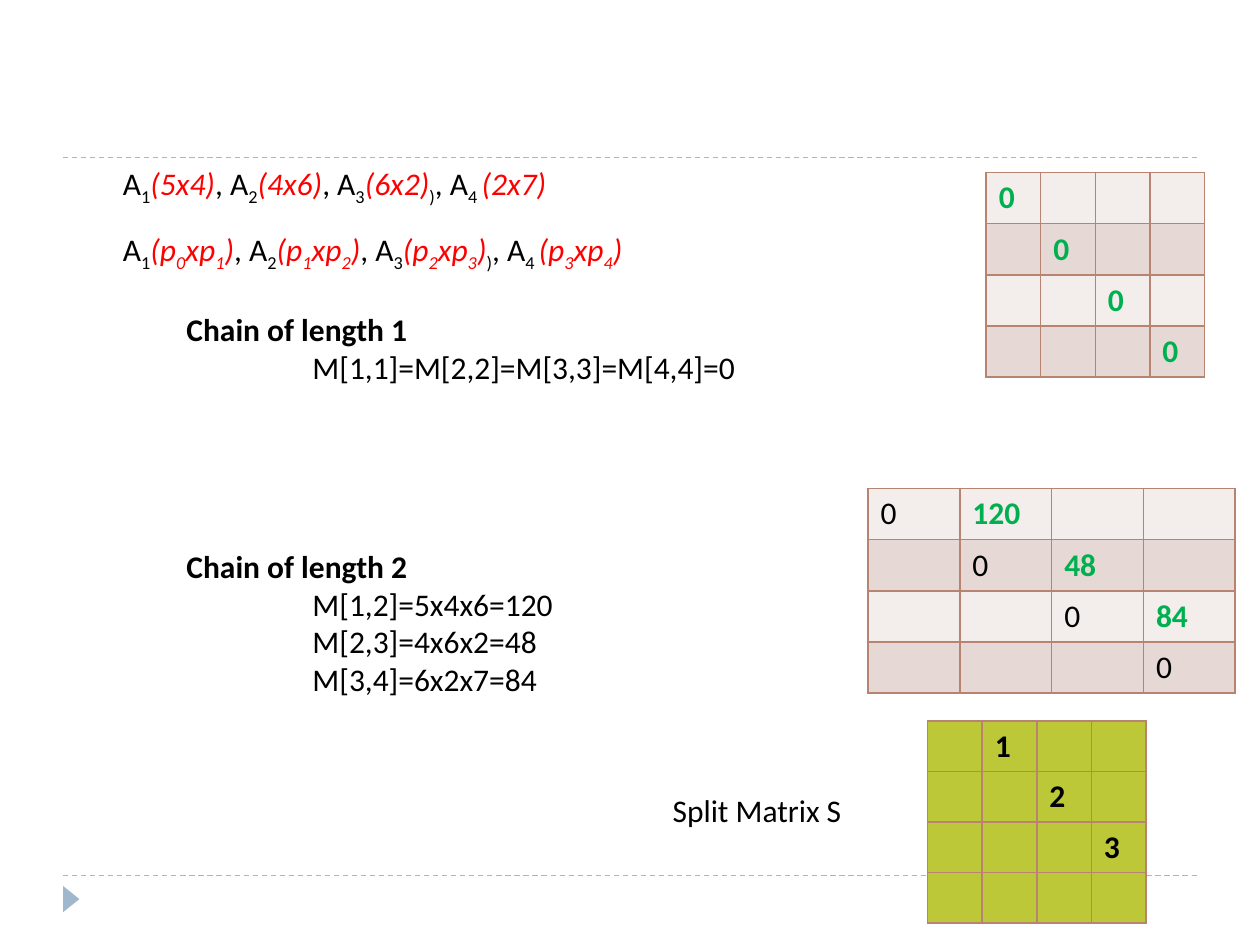
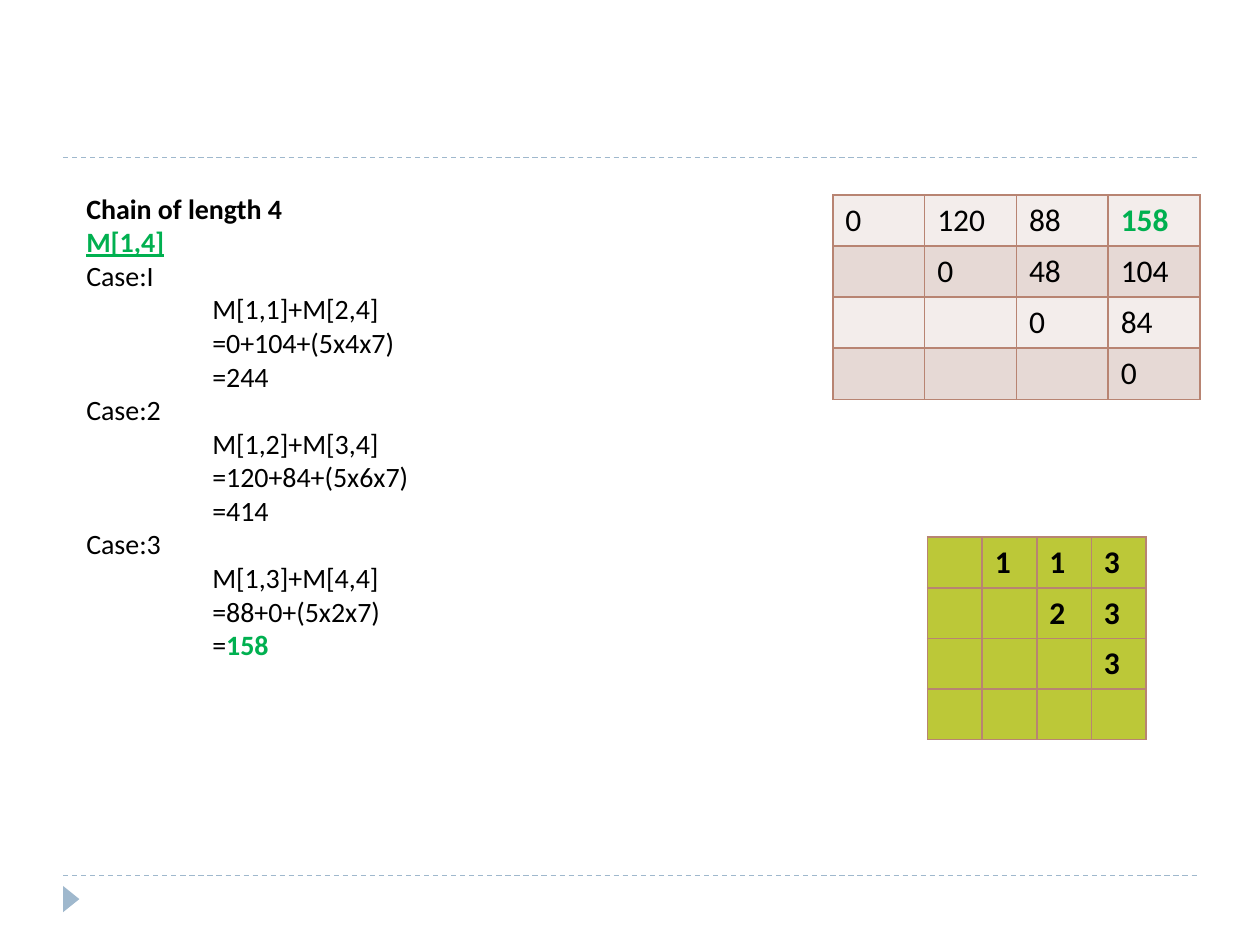
from lxml import etree
from pptx import Presentation
from pptx.dml.color import RGBColor
from pptx.enum.dml import MSO_LINE
from pptx.enum.shapes import MSO_CONNECTOR, MSO_SHAPE
from pptx.enum.text import MSO_AUTO_SIZE
from pptx.oxml.ns import qn
from pptx.util import Cm, Pt

DASH = MSO_LINE.DASH
LINE = MSO_CONNECTOR.STRAIGHT
ARROW = MSO_SHAPE.ISOSCELES_TRIANGLE
GROW = MSO_AUTO_SIZE.SHAPE_TO_FIT_TEXT

HUES = {"ink": "000000", "red": "FF0000", "green": "00B050", "blue": "9FB8CD",
        "edge": "B88472", "pale": "F3EDEB", "rose": "E6D9D5", "lime": "BCC838"}
RGB = {name: RGBColor.from_string(code) for name, code in HUES.items()}
FONT = "Calibri"
NEW = {"hue": "green", "bold": True}  # values found in the current step


def write(para, text, size=18, hue="ink", bold=False, ital=False, under=False, sub=False):
    run = para.add_run()
    run.text = text
    font = run.font
    font.name, font.size = FONT, Pt(size)
    font.bold, font.italic, font.underline = bold, ital, under
    font.color.rgb = RGB[hue]
    if sub:
        run._r.get_or_add_rPr().set("baseline", "-25000")


def grid(slide, left, top, wide, high, fills, rows, bold=False):
    """Square matrix: '.' is an empty cell, a leading '*' marks a new value."""
    cells = [row.split() for row in rows]
    n = len(cells)
    table = slide.shapes.add_table(n, n, Cm(left), Cm(top), Cm(wide * n), Cm(high * n)).table
    table.first_row = table.horz_banding = False
    for i in range(n):
        table.rows[i].height = Cm(high)
        table.columns[i].width = Cm(wide)
        for j, text in enumerate(cells[i]):
            cell = table.cell(i, j)
            if text != ".":
                look = NEW if text[0] == "*" else {"bold": bold}
                write(cell.text_frame.paragraphs[0], text.lstrip("*"), **look)
            props = cell._tc.get_or_add_tcPr()
            for side in ("a:lnL", "a:lnR", "a:lnT", "a:lnB"):
                edge = etree.SubElement(props, qn(side), w=str(Pt(1)))
                fill = etree.SubElement(edge, qn("a:solidFill"))
                etree.SubElement(fill, qn("a:srgbClr"), val=HUES["edge"])
            cell.fill.solid()
            cell.fill.fore_color.rgb = RGB[fills[i % len(fills)]]


deck = Presentation()
deck.slide_width, deck.slide_height = Cm(25.4), Cm(19.05)
first, last = [deck.slides.add_slide(deck.slide_layouts[6]) for _ in range(2)]

# Shared rules and corner arrow
for slide in (first, last):
    for y in (17.65, 3.18):
        rule = slide.shapes.add_connector(LINE, Cm(1.27), Cm(y), Cm(24.13), Cm(y))
        rule.line.color.rgb = RGB["blue"]
        rule.line.width = Pt(0.75)
        rule.line.dash_style = DASH
        etree.SubElement(rule._element.spPr, qn("a:effectLst"))
    mark = slide.shapes.add_shape(ARROW, Cm(1.17), Cm(17.96), Cm(0.53), Cm(0.33))
    mark.rotation = 90
    mark.shadow.inherit = False
    mark.fill.solid()
    mark.fill.fore_color.rgb = RGB["blue"]
    mark.line.fill.background()

# Formulas: *...* is red italic, ~...~ is subscript
forms = []
for text in ("A~1~*(5x4)*, A~2~*(4x6)*, A~3~*(6x2)*~)~, A~4 ~*(2x7)*",
             "A~1~*(p~0~xp~1~)*, A~2~*(p~1~xp~2~)*, A~3~*(p~2~xp~3~)*~)~, "
             "A~4 ~*(p~3~xp~4~)*"):
    runs = []
    for i, part in enumerate(text.split("*")):
        look = {"hue": "red", "ital": True} if i % 2 else {}
        runs += [(bit, {**look, "sub": k % 2 == 1})
                 for k, bit in enumerate(part.split("~")) if bit]
    forms.append(runs)

# Chains of length 1 and 2: a heading, then indented lines
chains = []
for size, sums in ((1, ["M[1,1]=M[2,2]=M[3,3]=M[4,4]=0"]),
                   (2, ["M[1,2]=5x4x6=120", "M[2,3]=4x6x2=48", "M[3,4]=6x2x7=84"])):
    chains.append([(0, [(f"Chain of length {size}", {"bold": True})])]
                  + [(2.54, [(text, {})]) for text in sums])

# Chain of length 4: three cases
cases = [(0, [("Chain of length 4", {"bold": True})]),
         (0, [("M[1,4]", {**NEW, "under": True})])]
for name, *sums in (("Case:I", "M[1,1]+M[2,4]", "=0+104+(5x4x7)", "=244"),
                    ("Case:2", "M[1,2]+M[3,4]", "=120+84+(5x6x7)", "=414"),
                    ("Case:3", "M[1,3]+M[4,4]", "=88+0+(5x2x7)")):
    cases.append((0, [(name, {})]))
    cases += [(2.54, [(text, {})]) for text in sums]
cases.append((2.54, [("=", {}), ("158", NEW)]))

# Text boxes: slide, left, top, width, height, size, lines
for slide, x, y, w, h, size, lines in (
        (first, 2.23, 3.18, 11.2, 1.02, 18, [(0, forms[0])]),
        (first, 2.23, 4.52, 12.8, 1.02, 18, [(0, forms[1])]),
        (first, 3.51, 6.12, 16.41, 1.8, 18, chains[0]),
        (first, 3.51, 10.9, 16.41, 3.33, 18, chains[1]),
        (first, 13.31, 15.82, 4.8, 1.02, 18, [(0, [("Split Matrix S", {})])]),
        (last, 1.49, 3.73, 17.2, 10.52, 16, cases)):
    frame = slide.shapes.add_textbox(Cm(x), Cm(y), Cm(w), Cm(h)).text_frame
    frame.word_wrap = True
    frame.auto_size = GROW
    for i, (gap, runs) in enumerate(lines):
        para = frame.add_paragraph() if i else frame.paragraphs[0]
        para._p.get_or_add_pPr().set("marL", str(Cm(gap)))
        for text, look in runs:
            write(para, text, size=size, **look)

# Cost matrices
bands = ("pale", "rose")
grid(first, 19.88, 3.48, 1.1, 1.03, bands,
     ("*0 . . .", ". *0 . .", ". . *0 .", ". . . *0"))
grid(first, 17.5, 9.85, 1.85, 1.03, bands,
     ("0 *120 . .", ". 0 *48 .", ". . 0 *84", ". . . 0"))
grid(last, 16.79, 3.93, 1.85, 1.03, bands,
     ("0 120 88 *158", ". 0 48 104", ". . 0 84", ". . . 0"))

# Split matrices
grid(first, 18.7, 14.53, 1.1, 1.02, ("lime",),
     (". 1 . .", ". . 2 .", ". . . 3", ". . . ."), bold=True)
grid(last, 18.7, 10.83, 1.1, 1.02, ("lime",),
     (". 1 1 3", ". . 2 3", ". . . 3", ". . . ."), bold=True)

deck.save("out.pptx")
